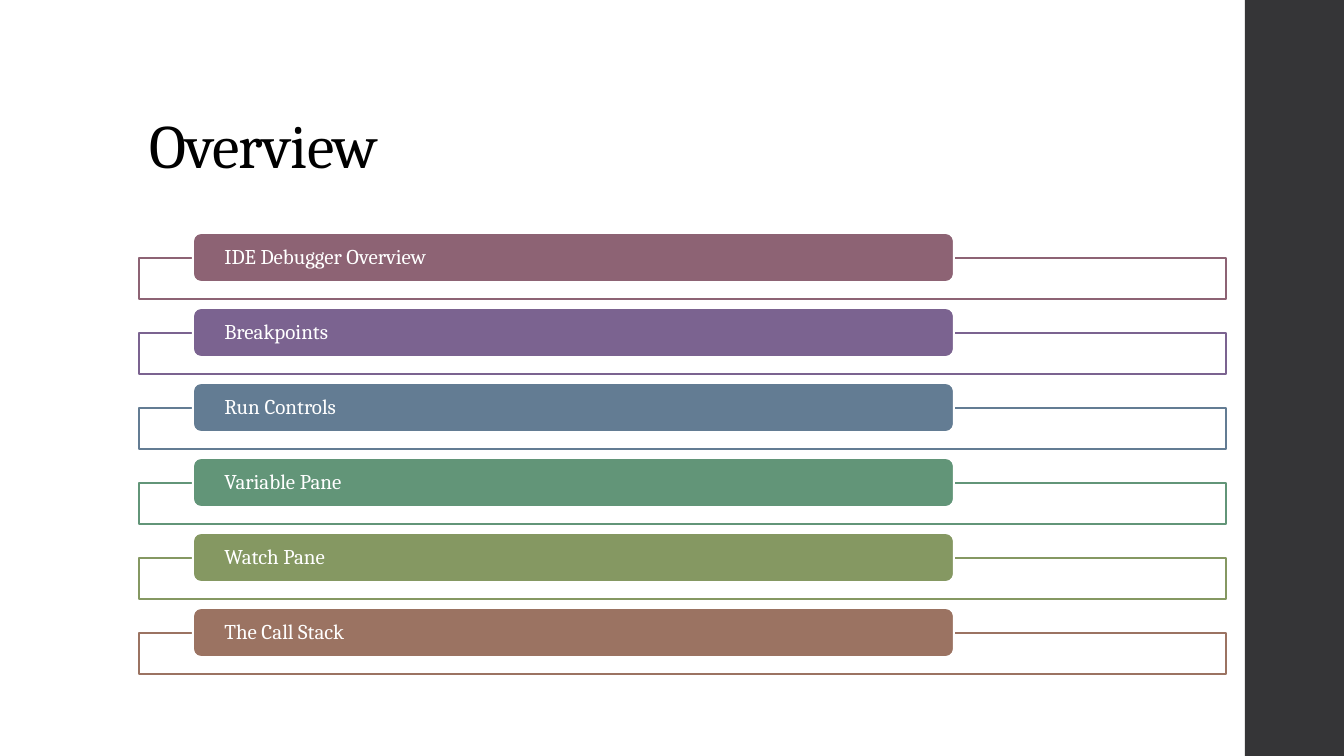
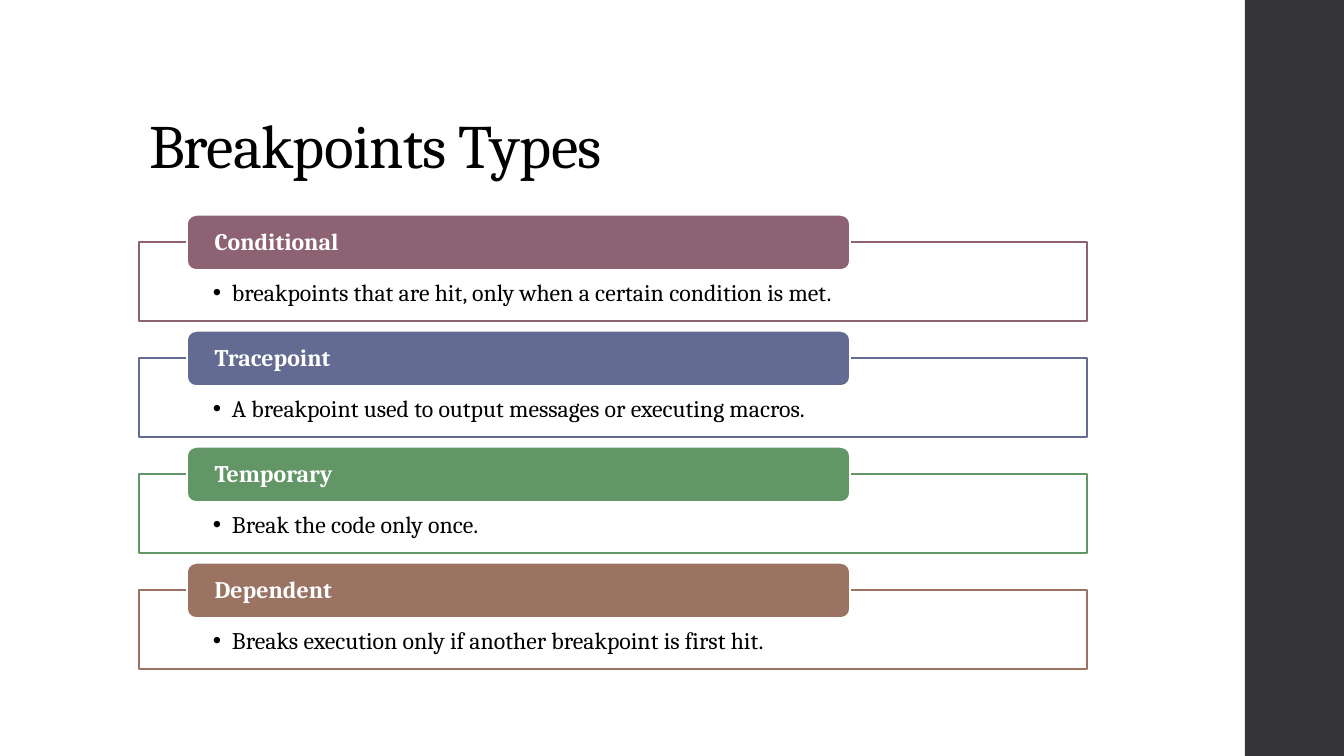
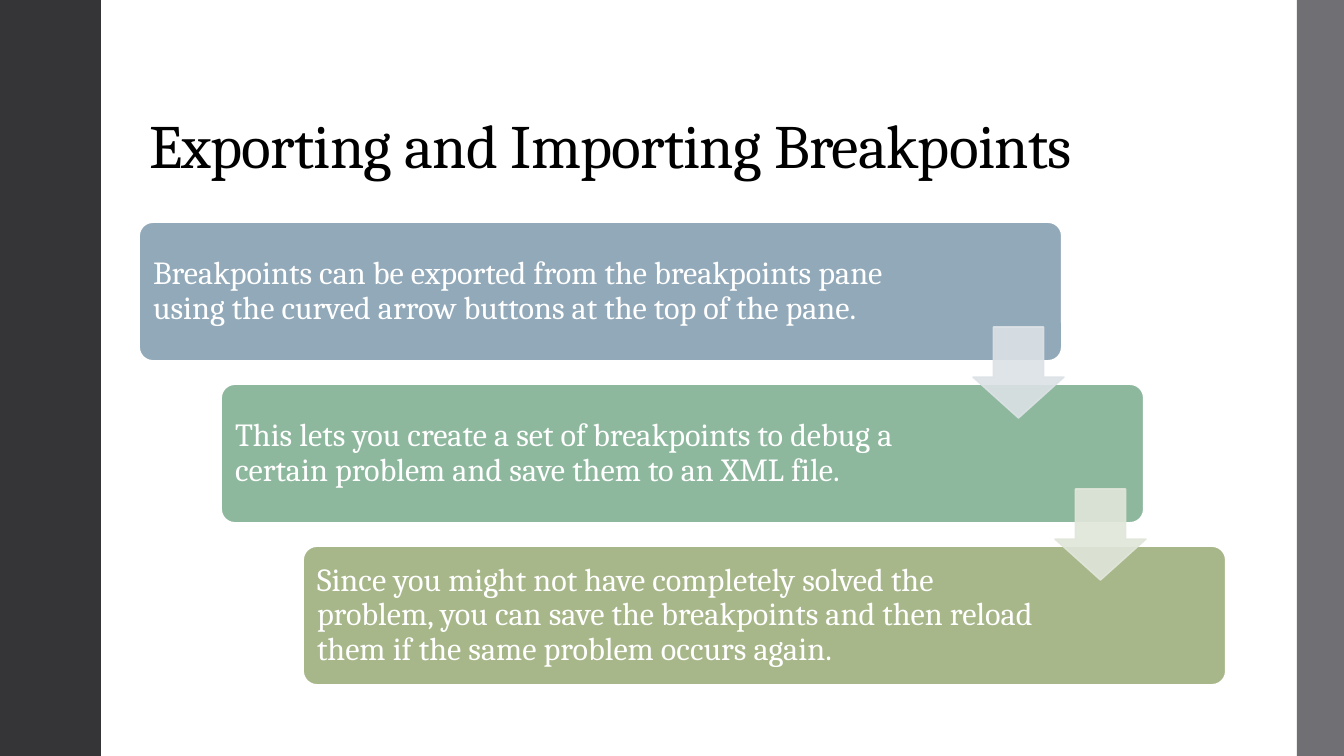
"""Builds three slides about debugger breakpoints."""
from lxml import etree
from pptx import Presentation, util as u
from pptx.dml.color import RGBColor
from pptx.enum import shapes, text
from pptx.oxml.ns import qn

SCALE = 914400 / 100.8
WIDE, HIGH = 1344, 756
FONT = "Cambria"
WHITE, BLACK, DARK, GREY = "FFFFFF", "000000", "353537", "6F6F74"
RECT = shapes.MSO_SHAPE.RECTANGLE
ROUND = shapes.MSO_SHAPE.ROUNDED_RECTANGLE
ARROW = shapes.MSO_SHAPE.DOWN_ARROW
TOP, MIDDLE, BOTTOM = (text.MSO_ANCHOR.TOP, text.MSO_ANCHOR.MIDDLE,
                       text.MSO_ANCHOR.BOTTOM)

RIGHT_BAND = [((1245, 0, 99, HIGH), DARK)]
SIDE_BANDS = [((0, 0, 101, HIGH), DARK), ((1297, 0, 47, HIGH), GREY)]

TOPICS = [
    ("IDE Debugger Overview", "", "8D6374"),
    ("Breakpoints", "", "7B6390"),
    ("Run Controls", "", "637C93"),
    ("Variable Pane", "", "629578"),
    ("Watch Pane", "", "859862"),
    ("The Call Stack", "", "9B7362"),
]
TYPES = [
    ("Conditional", "breakpoints that are hit, only when a certain condition is met.", "8D6374"),
    ("Tracepoint", "A breakpoint used to output messages or executing macros.", "636B92"),
    ("Temporary", "Break the code only once.", "629666"),
    ("Dependent", "Breaks execution only if another breakpoint is first hit.", "9B7362"),
]
STEPS = [
    ("Breakpoints can be exported from the breakpoints pane using the curved "
     "arrow buttons at the top of the pane.", "92A9B9", 151),
    ("This lets you create a set of breakpoints to debug a certain problem "
     "and save them to an XML file.", "8EB89E", 181),
    ("Since you might not have completely solved the problem, you can save "
     "the breakpoints and then reload them if the same problem occurs again.",
     "A7B789", 181),
]
ARROWS = ["DCE2E6", "E1E6DA"]


def px(num):
    """Turn pixels into EMU."""
    return u.Emu(round(num * SCALE))


def paint(fill, color):
    """Set a solid fill."""
    fill.solid()
    fill.fore_color.rgb = RGBColor.from_string(color)


def shape(slide, kind, box, fill, line=None, width=1.1, adj=(), alpha=100):
    """Add a preset shape."""
    item = slide.shapes.add_shape(kind, *map(px, box))
    item.shadow.inherit = False
    for spot, val in enumerate(adj):
        item.adjustments[spot] = val
    paint(item.fill, fill)
    if line:
        paint(item.line.fill, line)
        item.line.width = u.Pt(width)
    else:
        item.line.fill.background()
    if alpha < 100:
        for color in item._element.spPr.iter(qn("a:srgbClr")):
            etree.SubElement(color, qn("a:alpha"), val=str(alpha * 1000))
    return item


def write(item, words, size, color, pad, anchor=MIDDLE, bold=False):
    """Fill a shape with one left-aligned paragraph and return it."""
    frame = item.text_frame
    frame.word_wrap = True
    frame.vertical_anchor = anchor
    (frame.margin_left, frame.margin_top,
     frame.margin_right, frame.margin_bottom) = map(px, pad)
    frame.text = words
    para = frame.paragraphs[0]
    para.alignment = text.PP_ALIGN.LEFT
    para.line_spacing = 0.9
    font = para.runs[0].font
    font.name, font.size, font.bold = FONT, u.Pt(size), bold
    font.color.rgb = RGBColor.from_string(color)
    return para


def bullet(para, indent):
    """Give a paragraph a hanging bullet."""
    props = para._p.get_or_add_pPr()
    props.set("marL", str(px(indent)))
    props.set("indent", str(-px(indent)))
    etree.SubElement(props, qn("a:buFont"), typeface="Arial")
    etree.SubElement(props, qn("a:buChar"), char="•")


def page(deck, title, bands):
    """Add a slide with its bands and title."""
    slide = deck.slides.add_slide(deck.slide_layouts[6])
    for box, color in bands:
        shape(slide, RECT, box, color)
    head = slide.shapes.add_textbox(*map(px, (139, 41, 1087, 146)))
    para = write(head, title, 44, BLACK, (10, 5, 10, 5), BOTTOM)
    para.runs[0]._r.get_or_add_rPr().set("spc", "-50")
    return slide


def panels(slide, rows, frame, pill, pitch, size, pad, bold, edge):
    """Stack outlined frames, each with a coloured label on its top edge."""
    for spot, (label, note, color) in enumerate(rows):
        boxes = [(left, top + spot * pitch, wide, high)
                 for left, top, wide, high in (frame, pill)]
        back = shape(slide, RECT, boxes[0], WHITE, color)
        if note:
            bullet(write(back, note, size, BLACK, (74, 39, 74, 13), TOP), 19)
        tab = shape(slide, ROUND, boxes[1], color, WHITE, edge)
        write(tab, label, size, WHITE, (pad, 0, pad, 0), bold=bold)


def stairs(slide):
    """Draw the stepped boxes and the arrows between them."""
    across, down = 82, 162
    for spot, (words, color, right) in enumerate(STEPS):
        box = (139 + spot * across, 222 + spot * down, 923, 139)
        item = shape(slide, ROUND, box, color, WHITE, 1.35, [0.1])
        write(item, words, 23, WHITE, (10, 10, right, 10))
    for spot, color in enumerate(ARROWS):
        box = (973 + spot * across, 327 + spot * down, 91, 91)
        shape(slide, ARROW, box, color, color, adj=(0.55, 0.45), alpha=90)


def main():
    """Build and save the deck."""
    deck = Presentation()
    deck.slide_width, deck.slide_height = px(WIDE), px(HIGH)
    panels(page(deck, "Overview", RIGHT_BAND), TOPICS,
           (139, 258, 1087, 41), (193, 233, 761, 49), 75, 15, 29, False, 1.35)
    panels(page(deck, "Breakpoints Types", RIGHT_BAND), TYPES,
           (139, 242, 948, 79), (187, 215, 663, 55), 116, 17, 25, True, 1.1)
    stairs(page(deck, "Exporting and Importing Breakpoints", SIDE_BANDS))
    deck.save("out.pptx")


if __name__ == "__main__":
    main()
